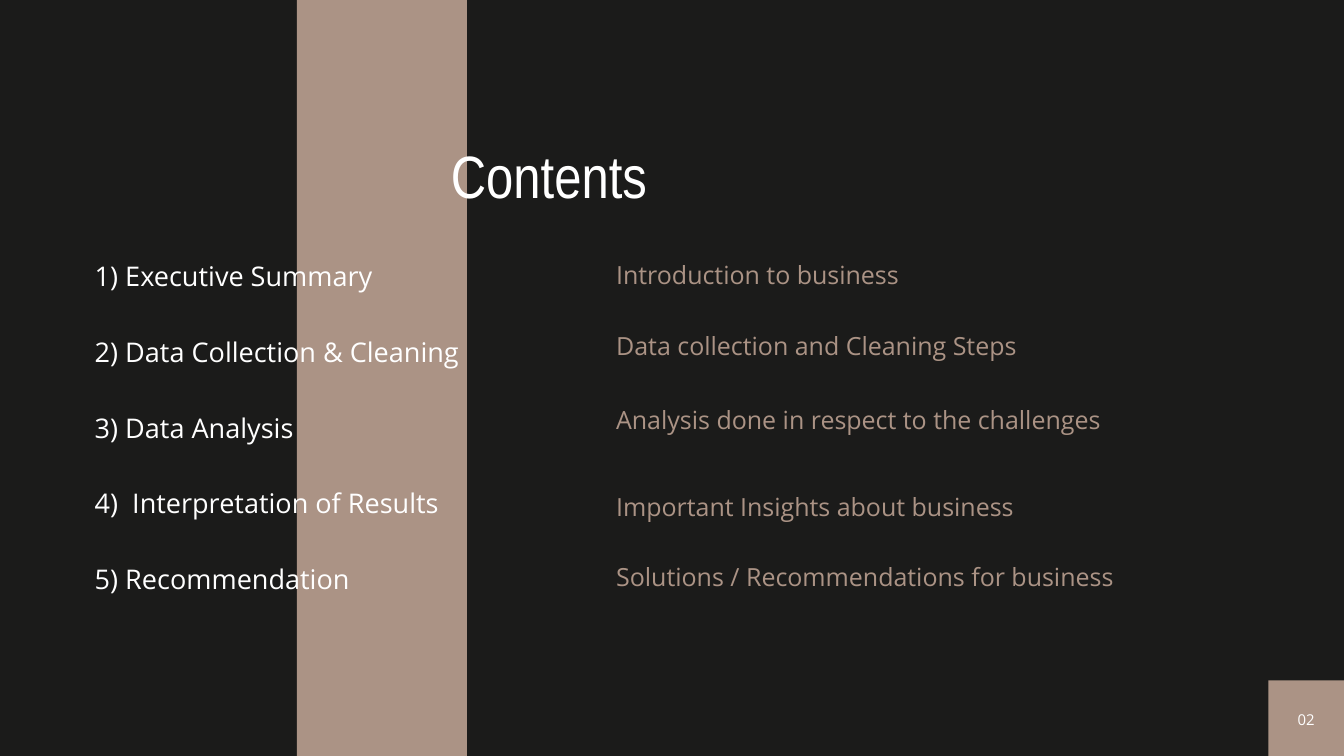
from dataclasses import dataclass

from pptx import Presentation
from pptx.dml.color import RGBColor
from pptx.enum import shapes, text
from pptx.util import Pt

WIDTH, HEIGHT = 1440, 810
DARK, TAUPE, WHITE = "1B1B1A", "AB9385", "FFFFFF"


@dataclass
class Panel:
    left: float
    top: float
    width: float
    height: float


@dataclass
class Copy:
    area: Panel
    lines: list[str]
    size: float
    leading: float
    color: str
    gaps: tuple[float, ...] = ()  # space before each line after the first
    font: str = "Open Sans"
    align: text.PP_ALIGN = text.PP_ALIGN.LEFT


def paint(fill, color: str) -> None:
    fill.solid()
    fill.fore_color.rgb = RGBColor.from_string(color)


def draw_panel(slide, panel: Panel) -> None:
    block = slide.shapes.add_shape(
        shapes.MSO_SHAPE.RECTANGLE,
        Pt(panel.left), Pt(panel.top), Pt(panel.width), Pt(panel.height))
    block.shadow.inherit = False
    paint(block.fill, TAUPE)
    block.line.fill.background()


def draw_copy(slide, copy: Copy) -> None:
    area = copy.area
    frame = slide.shapes.add_textbox(
        Pt(area.left), Pt(area.top), Pt(area.width), Pt(area.height)).text_frame
    frame.word_wrap = True
    frame.auto_size = text.MSO_AUTO_SIZE.SHAPE_TO_FIT_TEXT
    frame.margin_left = frame.margin_top = frame.margin_right = frame.margin_bottom = 0
    frame.text = "\n".join(copy.lines)
    for line, gap in zip(frame.paragraphs, (0, *copy.gaps)):
        line.alignment = copy.align
        line.line_spacing = Pt(copy.leading)
        line.space_before = Pt(gap)
        for run in line.runs:
            run.font.name = copy.font
            run.font.size = Pt(copy.size)
            paint(run.font.fill, copy.color)


# Decorative panels
CORNER = Panel(WIDTH - 81, HEIGHT - 81, 81, 81)
BAND = Panel(318.2, 0, 182.2, HEIGHT)

# Wording
PAGE_NUMBER = Copy(Panel(1376, 758.2, 46.8, 20.9), ["02"], 16, 22.4, WHITE,
                   align=text.PP_ALIGN.CENTER)
TITLE = Copy(Panel(483.1, 136.1, 473.8, 87.8), ["Contents"], 64, 89.6, WHITE,
             font="Arial Narrow")
DESCRIPTIONS = Copy(
    Panel(660.2, 272.2, 616.3, 359.3),
    ["Introduction to business",
     "Data collection and Cleaning Steps",
     "Analysis done in respect to the challenges",
     "Important Insights about business",
     "Solutions / Recommendations for business"],
    26.8, 37.5, TAUPE, gaps=(39.1, 41.8, 55.3, 37.5))
SECTIONS = Copy(
    Panel(101.5, 272.2, 433.4, 403.9),
    ["1) Executive Summary",
     "2) Data Collection & Cleaning",
     "3) Data Analysis",
     "4)  Interpretation of Results",
     "5) Recommendation"],
    29, 40.6, WHITE, gaps=(40.6,) * 4)


def main() -> None:
    deck = Presentation()
    deck.slide_width, deck.slide_height = Pt(WIDTH), Pt(HEIGHT)
    slide = deck.slides.add_slide(deck.slide_layouts[6])
    paint(slide.background.fill, DARK)

    for panel in (CORNER, BAND):
        draw_panel(slide, panel)
    for copy in (PAGE_NUMBER, TITLE, DESCRIPTIONS, SECTIONS):
        draw_copy(slide, copy)

    deck.save("out.pptx")


if __name__ == "__main__":
    main()
